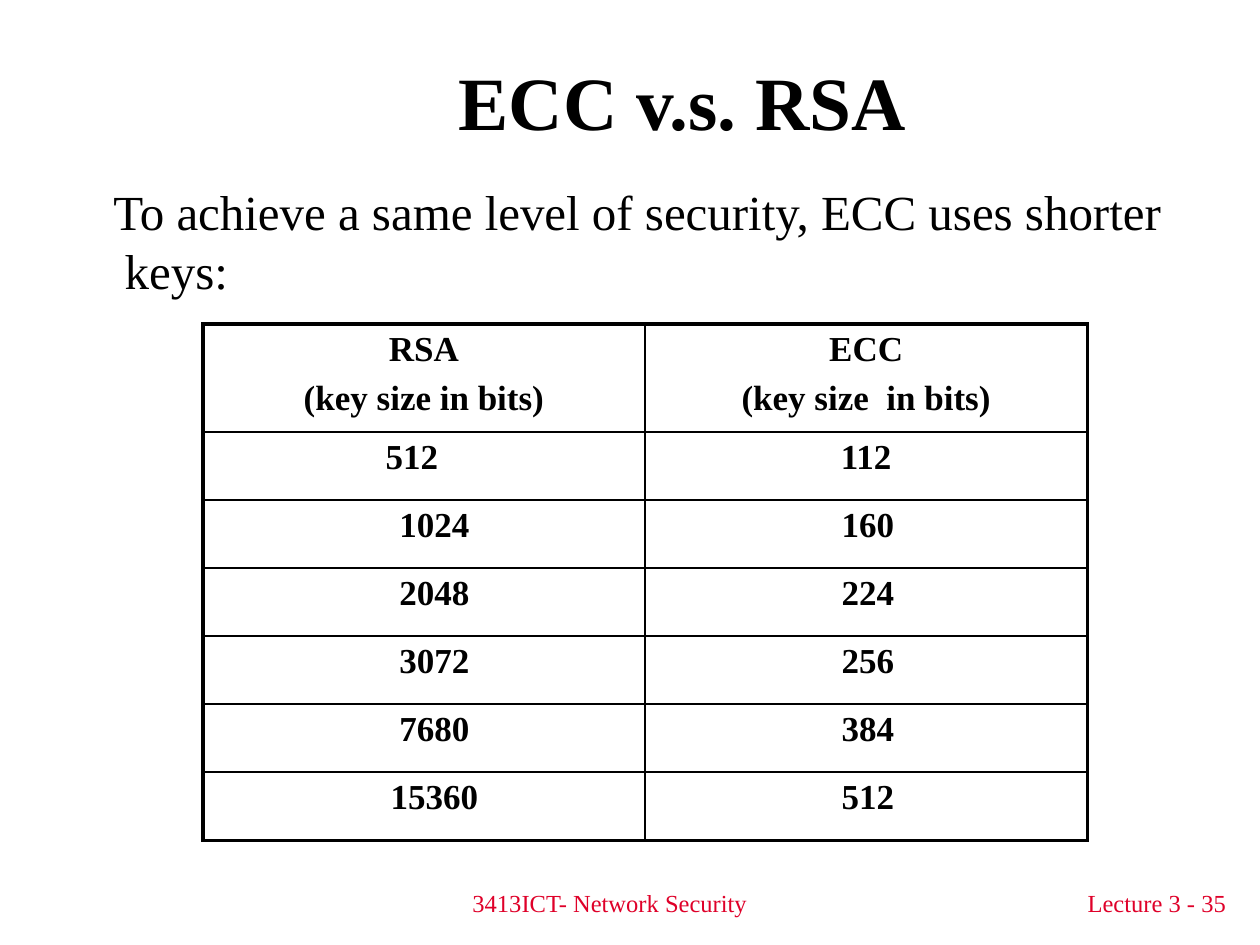
from lxml import etree
from pptx import Presentation
from pptx.dml.color import RGBColor
from pptx.enum.text import MSO_ANCHOR, MSO_AUTO_SIZE, PP_ALIGN
from pptx.oxml.ns import qn
from pptx.util import Inches, Pt

# Content
TITLE = "ECC v.s. RSA"
BODY = "To achieve a same level of security, ECC uses shorter keys:"
FOOTERS = [
    ("3413ICT- Network Security", (2.87, 7, 3.94, 0.33), PP_ALIGN.CENTER),
    ("Lecture 3 - 35", (7, 7, 2.83, 0.33), PP_ALIGN.RIGHT),
]
HEADERS = [["RSA", "(key size in bits)"], ["ECC", "(key size  in bits)"]]
KEY_SIZES = [("512", "112"), ("1024", "160"), ("2048", "224"),
             ("3072", "256"), ("7680", "384"), ("15360", "512")]
# Left indents of the numbers, in inches; None means centred
NUMBER_INDENT = 1.46
SPECIAL_INDENTS = {(1, 0): 1.35, (6, 0): 1.39, (1, 1): None}

COLORS = {"text": "000000", "footer": "DF0029", "border": "000000"}
FONT = "Times New Roman"
COLUMN_WIDTH, HEADER_HEIGHT, ROW_HEIGHT = 3.51, 0.86, 0.54
OUTER_LINE, INNER_LINE = 2.25, 1


def write(frame, lines, size, color="text", bold=False, align=PP_ALIGN.LEFT,
          before=0, after=0, left=0, first=0):
    frame.word_wrap = True
    for number, line in enumerate(lines):
        paragraph = frame.paragraphs[0] if number == 0 else frame.add_paragraph()
        paragraph.alignment = align
        paragraph.space_before, paragraph.space_after = Pt(before), Pt(after)
        properties = paragraph._p.get_or_add_pPr()
        properties.set("marL", str(Inches(left)))
        properties.set("indent", str(Inches(first)))
        etree.SubElement(properties, qn("a:buNone"))
        run = paragraph.add_run()
        run.text = line
        run.font.name, run.font.size, run.font.bold = FONT, Pt(size), bold
        run.font.color.rgb = RGBColor.from_string(COLORS[color])


def place(shape, left, top, width, height):
    shape.left, shape.top = Inches(left), Inches(top)
    shape.width, shape.height = Inches(width), Inches(height)


def set_border(cell, side, width):
    line = etree.SubElement(cell._tc.get_or_add_tcPr(), qn("a:ln" + side),
                            w=str(Pt(width)))
    fill = etree.SubElement(line, qn("a:solidFill"))
    etree.SubElement(fill, qn("a:srgbClr"), val=COLORS["border"])


presentation = Presentation()
presentation.slide_width, presentation.slide_height = Inches(10), Inches(7.5)
slide = presentation.slides.add_slide(presentation.slide_layouts[1])

# Title and body
title, body = slide.placeholders
place(title, 1.25, 0.17, 8.33, 1.25)
place(body, 0.51, 1.39, 9.15, 1.14)
for placeholder in (title, body):
    placeholder.text_frame.auto_size = MSO_AUTO_SIZE.NONE
title.text_frame.vertical_anchor = MSO_ANCHOR.MIDDLE
write(title.text_frame, [TITLE], 43, bold=True, align=PP_ALIGN.CENTER)
write(body.text_frame, [BODY], 28, before=5.6, left=0.38, first=-0.09)

# Key size table
row_count, column_count = len(KEY_SIZES) + 1, len(HEADERS)
frame = slide.shapes.add_table(
    row_count, column_count, Inches(1.61), Inches(2.57),
    Inches(COLUMN_WIDTH * column_count),
    Inches(HEADER_HEIGHT + ROW_HEIGHT * len(KEY_SIZES)))
table = frame.table
table.first_row = table.horz_banding = False
for column in table.columns:
    column.width = Inches(COLUMN_WIDTH)
for row_index, row in enumerate(table.rows):
    row.height = Inches(ROW_HEIGHT if row_index else HEADER_HEIGHT)
    for column_index, cell in enumerate(row.cells):
        if row_index == 0:
            lines, indent = HEADERS[column_index], None
        else:
            lines = [KEY_SIZES[row_index - 1][column_index]]
            indent = SPECIAL_INDENTS.get((row_index, column_index), NUMBER_INDENT)
        if indent is None:
            spacing = dict(align=PP_ALIGN.CENTER, before=3, after=3)
        else:
            spacing = dict(left=indent, before=4)
        write(cell.text_frame, lines, 20, bold=True, **spacing)
        outer = {"L": column_index == 0, "R": column_index == column_count - 1,
                 "T": row_index == 0, "B": row_index == row_count - 1}
        for side, is_outer in outer.items():
            set_border(cell, side, OUTER_LINE if is_outer else INNER_LINE)
        cell.fill.background()

# Footers
for text, box, align in FOOTERS:
    footer = slide.shapes.add_textbox(*map(Inches, box))
    write(footer.text_frame, [text], 14, color="footer", align=align)

presentation.save("out.pptx")
